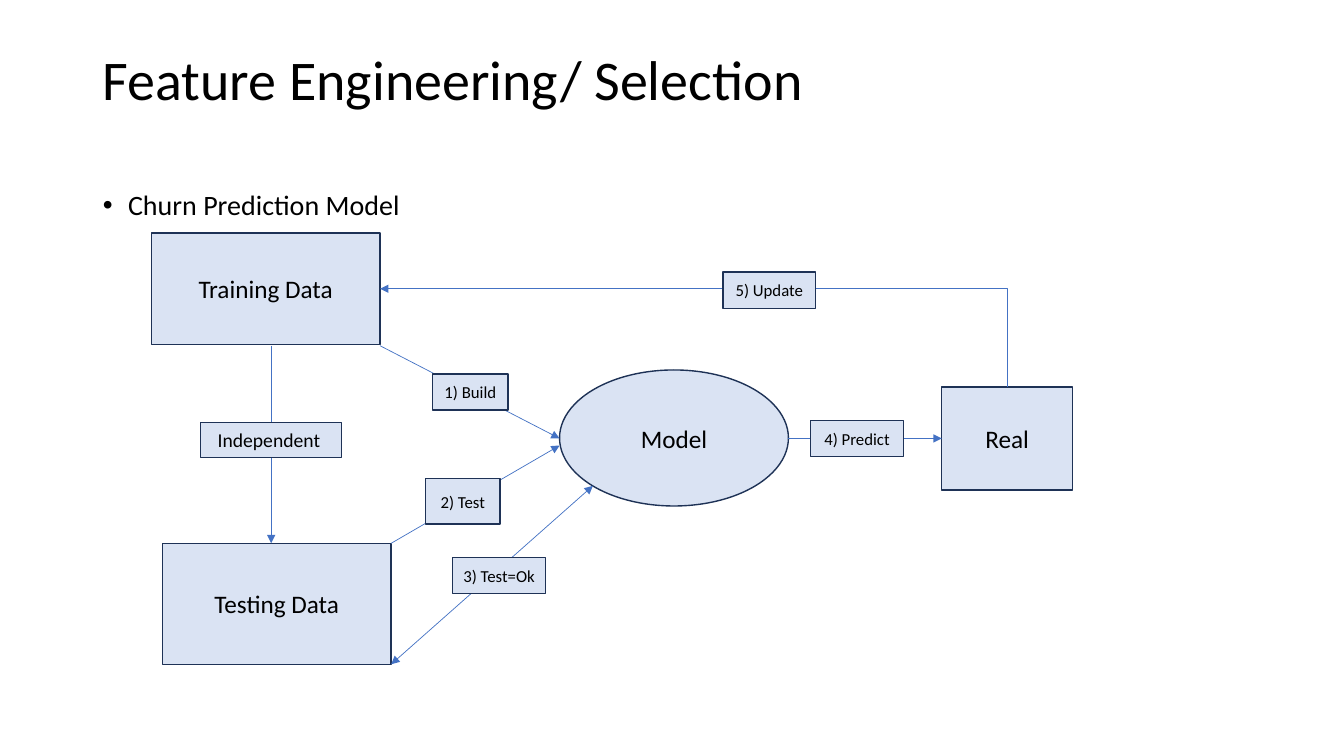
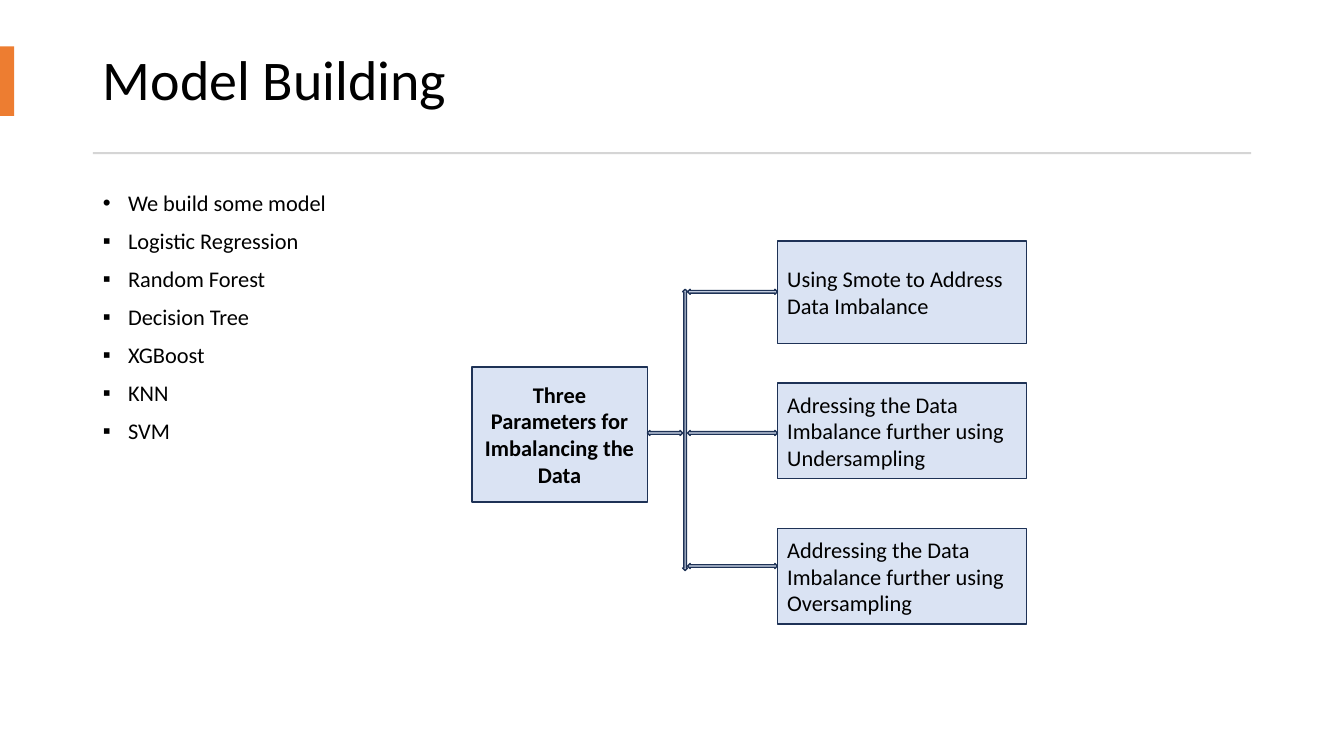
"""Build two slides: a churn prediction flow and a model building overview."""
from pptx import Presentation
from pptx import util as u
from pptx.dml.color import RGBColor
from pptx.enum import shapes, text
from pptx.oxml.ns import qn
from lxml import etree

COLORS = {"text": "000000", "fill": "DAE3F3", "edge": "1E3256",
          "link": "4472C4", "accent": "ED7D31", "rule": "D5D5D5"}
FONT = "Calibri"
KIND = shapes.MSO_SHAPE
ALIGN = text.PP_ALIGN

FLOW_TITLE = "Feature Engineering/ Selection"
FLOW_POINTS = [("•", "Churn Prediction Model")]
FLOW_NODES = [
    ("Training Data", KIND.RECTANGLE, (1.5, 2.31, 2.27, 1.11)),
    ("Testing Data", KIND.RECTANGLE, (1.61, 5.39, 2.27, 1.2)),
    ("Model", KIND.OVAL, (5.55, 3.67, 2.27, 1.35)),
    ("Real", KIND.RECTANGLE, (9.34, 3.84, 1.3, 1.02)),
]
FLOW_LINKS = [
    ((3.77, 3.43), (5.55, 4.35), ("tail",)),
    ((3.88, 5.39), (5.55, 4.42), ("tail",)),
    ((2.69, 3.43), (2.69, 5.39), ("tail",)),
    ((7.82, 4.35), (9.34, 4.35), ("tail",)),
    ((3.88, 6.59), (5.88, 4.82), ("head", "tail")),
]
FLOW_LABELS = [
    ("3) Test=Ok", 12, (4.49, 5.53, 0.92, 0.36)),
    ("1) Build", 12, (4.29, 3.71, 0.75, 0.36)),
    ("2) Test", 12, (4.22, 4.75, 0.74, 0.45)),
    ("5) Update", 12, (7.17, 2.7, 0.92, 0.36)),
    ("4) Predict", 12, (8.04, 4.17, 0.92, 0.36)),
    ("Independent ", 14, (1.99, 4.19, 1.4, 0.35)),
]

MODEL_TITLE = "Model Building"
MODEL_POINTS = [("•", "We build some model")] + [("▪", name) for name in (
    "Logistic Regression", "Random Forest", "Decision Tree", "XGBoost", "KNN", "SVM")]
ROOT = ("Three Parameters for Imbalancing the Data", (4.68, 3.64, 1.74, 1.34))
BRANCHES = [
    ("Using Smote to Address Data Imbalance", 2.39, 1.02, 2.87),
    ("Adressing the Data Imbalance further using Undersampling", 3.8, 0.95, 4.27),
    ("Addressing the Data Imbalance further using Oversampling", 5.24, 0.95, 5.59),
]
BRANCH_LEFT, BRANCH_WIDTH = 7.71, 2.47
TRUNK_LEFT, TRUNK_TOP, TRUNK_HEIGHT = 6.77, 2.87, 2.79
ARROW = 0.05


def color(name):
    """Return a palette colour."""
    return RGBColor.from_string(COLORS[name])


def inches(values):
    """Convert numbers to lengths."""
    return [u.Inches(v) for v in values]


def write(p, content, size=18, bold=False, align=ALIGN.LEFT, spacing=None,
          before=None, after=None):
    """Add one formatted run to a paragraph."""
    p.alignment = align
    if spacing:
        p.line_spacing = spacing
    if before is not None:
        p.space_before = u.Pt(before)
    if after is not None:
        p.space_after = u.Pt(after)
    r = p.add_run()
    r.text = content
    r.font.name, r.font.size, r.font.bold = FONT, u.Pt(size), bold
    r.font.color.rgb = color("text")


def place(sp, box):
    """Move a placeholder and fix its text size."""
    sp.left, sp.top, sp.width, sp.height = inches(box)
    sp.text_frame.auto_size = text.MSO_AUTO_SIZE.NONE


def add_bullet(p, char):
    """Give a paragraph a hanging bullet."""
    pPr = p._p.get_or_add_pPr()
    pPr.set("marL", str(u.Inches(0.25)))
    pPr.set("indent", str(u.Inches(-0.25)))
    etree.SubElement(pPr, qn("a:buFont")).set("typeface", "Arial")
    etree.SubElement(pPr, qn("a:buChar")).set("char", char)


def add_slide(prs, title, title_box, points, body_box, size, before):
    """Add a slide with a title and a bullet list."""
    s = prs.slides.add_slide(prs.slide_layouts[1])
    heading, body = s.placeholders
    place(heading, title_box)
    place(body, body_box)
    heading.text_frame.vertical_anchor = text.MSO_ANCHOR.MIDDLE
    write(heading.text_frame.paragraphs[0], title, size=40, spacing=0.9)
    tf = body.text_frame
    for i, (char, point) in enumerate(points):
        p = tf.add_paragraph() if i else tf.paragraphs[0]
        write(p, point, size=size, spacing=0.9, before=before)
        add_bullet(p, char)
    return s


def add_box(s, box, kind=KIND.RECTANGLE, fill="fill", edge="edge", content="",
            wrap=True, align=ALIGN.CENTER, **fmt):
    """Add a filled shape with optional text."""
    sp = s.shapes.add_shape(kind, *inches(box))
    sp.shadow.inherit = False
    sp.fill.solid()
    sp.fill.fore_color.rgb = color(fill)
    if edge:
        sp.line.color.rgb = color(edge)
        sp.line.width = u.Pt(1)
    else:
        sp.line.fill.background()
    if content:
        tf = sp.text_frame
        tf.word_wrap = wrap
        tf.vertical_anchor = text.MSO_ANCHOR.MIDDLE
        write(tf.paragraphs[0], content, align=align, **fmt)
    return sp


def add_link(s, start, end, heads, kind=shapes.MSO_CONNECTOR.STRAIGHT):
    """Add a thin connector with arrowheads."""
    c = s.shapes.add_connector(kind, *inches(start + end))
    c.line.color.rgb = color("link")
    c.line.width = u.Pt(0.5)
    spPr = c.element.spPr
    for head in heads:
        etree.SubElement(spPr.find(qn("a:ln")), qn(f"a:{head}End")).set("type", "triangle")
    etree.SubElement(spPr, qn("a:effectLst"))
    return c


def build_flow(prs):
    """Draw the churn prediction flow."""
    s = add_slide(prs, FLOW_TITLE, (0.92, 0.24, 11.5, 1.16),
                  FLOW_POINTS, (0.92, 1.85, 11.5, 5.25), 20, 10)
    nodes = {name: add_box(s, box, kind, content=name) for name, kind, box in FLOW_NODES}
    for start, end, heads in FLOW_LINKS:
        add_link(s, start, end, heads)
    update = add_link(s, (3.77, 2.87), (9.99, 3.84), ("head",), shapes.MSO_CONNECTOR.ELBOW)
    update.element.spPr.find(qn("a:prstGeom")).set("prst", "bentConnector2")
    update.begin_connect(nodes["Training Data"], 3)
    update.end_connect(nodes["Real"], 0)
    for label, size, box in FLOW_LABELS:
        add_box(s, box, content=label, size=size, wrap=size > 12)


def build_models(prs):
    """Draw the model list and the imbalance tree."""
    s = add_slide(prs, MODEL_TITLE, (0.92, 0.27, 11.49, 1.1),
                  MODEL_POINTS, (0.92, 1.86, 11.49, 4.9), 16, 9.9)
    add_box(s, (0, 0.46, 0.14, 0.69), fill="accent", edge=None)
    add_box(s, (0.92, 1.51, 11.49, 0.02), fill="rule", edge=None)
    label, root = ROOT
    add_box(s, root, content=label, size=16, bold=True, after=6)
    root_right = root[0] + root[2]
    add_box(s, (root_right, BRANCHES[1][3], TRUNK_LEFT - root_right, ARROW),
            KIND.LEFT_RIGHT_ARROW)
    add_box(s, (TRUNK_LEFT, TRUNK_TOP, ARROW, TRUNK_HEIGHT), KIND.UP_DOWN_ARROW)
    trunk_right = TRUNK_LEFT + ARROW
    for label, top, height, arrow_top in BRANCHES:
        add_box(s, (BRANCH_LEFT, top, BRANCH_WIDTH, height), content=label,
                size=16, align=ALIGN.LEFT, after=6)
        add_box(s, (trunk_right, arrow_top, BRANCH_LEFT - trunk_right, ARROW),
                KIND.LEFT_RIGHT_ARROW)


def main():
    """Build and save the presentation."""
    prs = Presentation()
    prs.slide_width, prs.slide_height = inches((13.33, 7.5))
    build_flow(prs)
    build_models(prs)
    prs.save("out.pptx")


if __name__ == "__main__":
    main()
